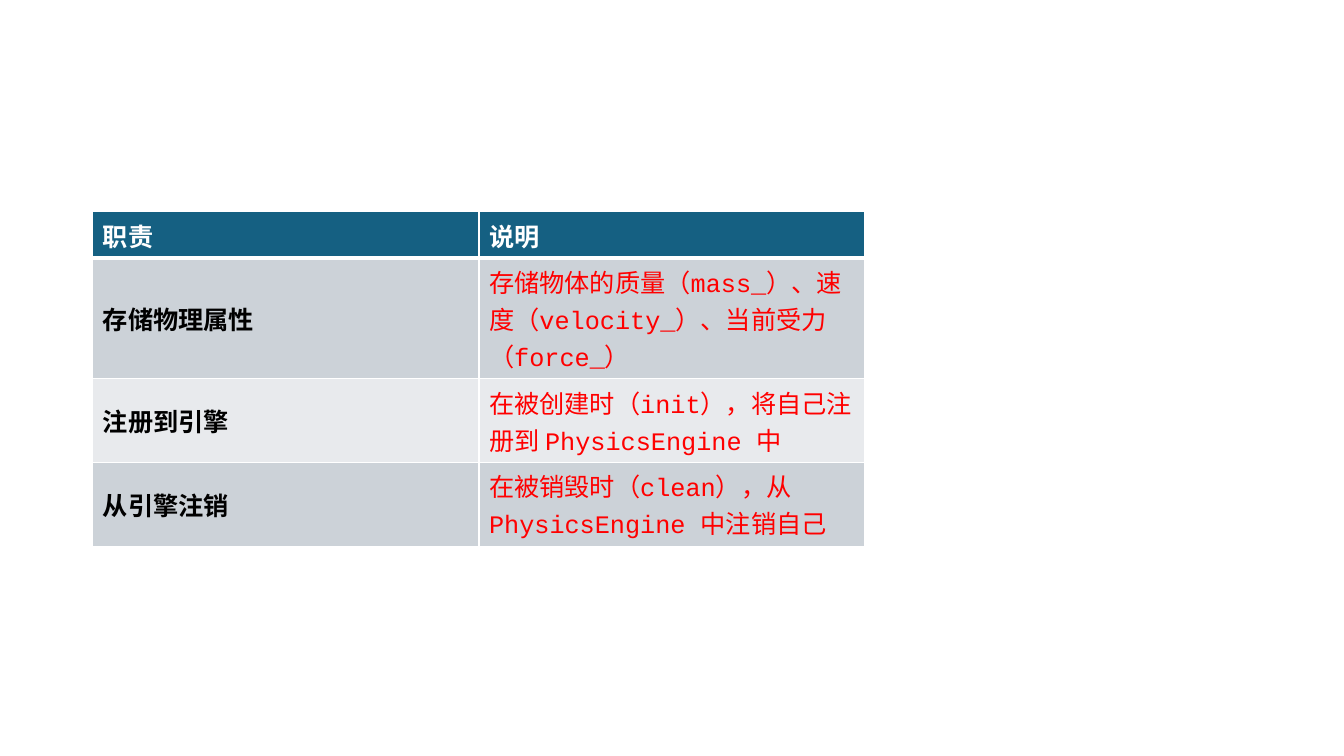
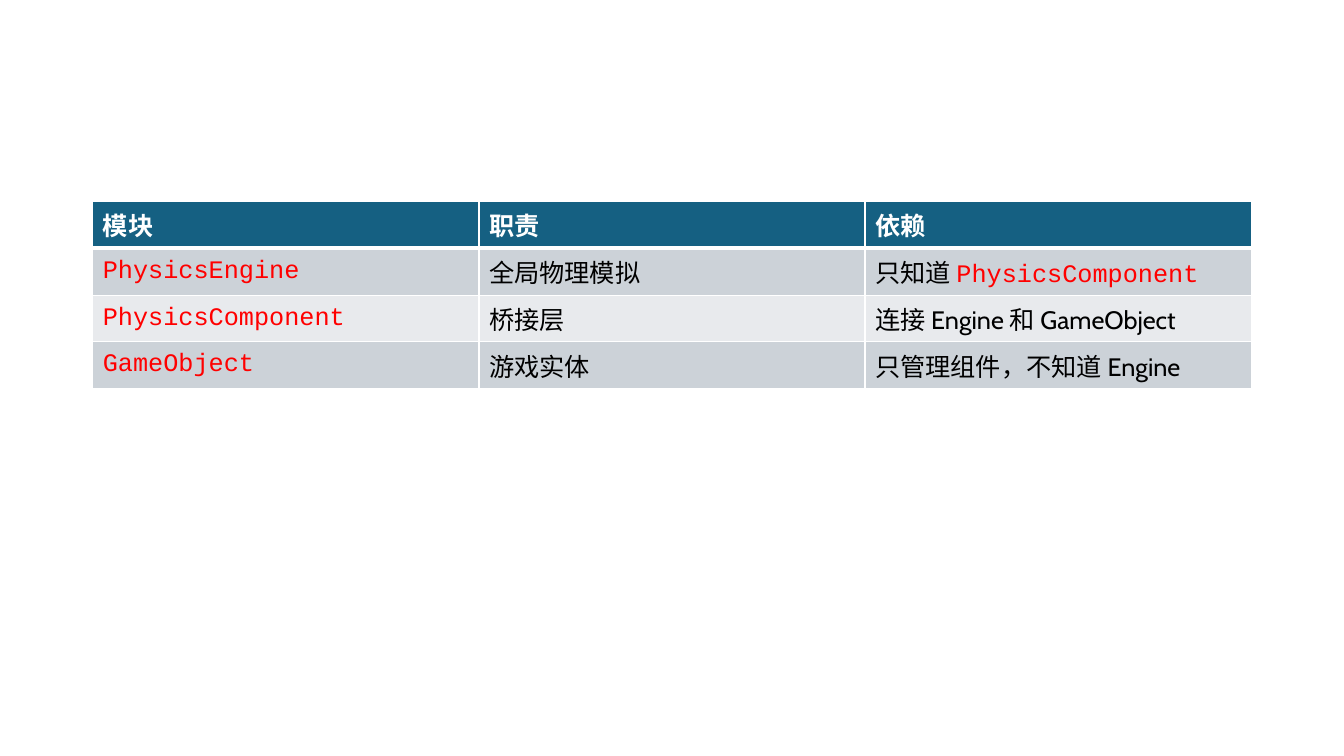
"""Build two slides with tables on the duties and dependencies of physics modules."""
import pptx
import pptx.dml.color
import pptx.enum.lang
import pptx.enum.text
import pptx.oxml.ns
import pptx.util
from lxml import etree

SLIDE_WIDTH, SLIDE_HEIGHT = 13.33, 7.5
LEFT, COLUMN_WIDTH, ROW_HEIGHT = 0.92, 3.83, 0.41
WHITE, BLACK, RED = "FFFFFF", "000000", "FF0000"
HEADER_FILL, BAND_FILLS = "156082", ("CCD2D8", "E8EAED")
THIN, THICK = 1, 3
TEXT_FONT, CODE_FONT = "Cabin", "Courier New"

HEADER_STYLE = {"color": WHITE, "bold": True}
LABEL_STYLE = {"color": BLACK, "bold": True}
PLAIN_STYLE = {"color": BLACK, "bold": False}
RED_STYLE = {"color": RED, "bold": False}

# Backticks enclose code.
TABLES = [
    {
        "top": 2.1,
        "styles": [LABEL_STYLE, RED_STYLE],
        "rows": [
            ("职责", "说明"),
            ("存储物理属性", "存储物体的质量（`mass_`）、速度（`velocity_`）、当前受力（`force_`）"),
            ("注册到引擎", "在被创建时（`init`），将自己注册到 `PhysicsEngine `中"),
            ("从引擎注销", "在被销毁时（`clean`），从 `PhysicsEngine `中注销自己"),
        ],
    },
    {
        "top": 2,
        "styles": [PLAIN_STYLE] * 3,
        "rows": [
            ("模块", "职责", "依赖"),
            ("`PhysicsEngine`", "全局物理模拟", "只知道 `PhysicsComponent`"),
            ("`PhysicsComponent`", "桥接层", "连接 Engine 和 GameObject"),
            ("`GameObject`", "游戏实体", "只管理组件，不知道 Engine"),
        ],
    },
]


def rgb(value):
    """Return the colour for a hex string."""
    return pptx.dml.color.RGBColor.from_string(value)


def set_borders(cell, widths):
    """Draw white cell borders of the given widths in points."""
    properties = cell._tc.get_or_add_tcPr()
    for side, width in widths.items():
        line = etree.SubElement(properties, pptx.oxml.ns.qn(f"a:ln{side}"), w=str(pptx.util.Pt(width)))
        fill = etree.SubElement(line, pptx.oxml.ns.qn("a:solidFill"))
        etree.SubElement(fill, pptx.oxml.ns.qn("a:srgbClr"), val=WHITE)


def write_text(cell, text, style):
    """Write text into a cell, with the parts in backticks as red code."""
    paragraph = cell.text_frame.paragraphs[0]
    for index, part in enumerate(text.split("`")):
        if not part:
            continue
        is_code = index % 2 == 1
        run = paragraph.add_run()
        run.text = part
        font_format = {
            "name": CODE_FONT if is_code else TEXT_FONT,
            "size": pptx.util.Pt(18),
            "bold": style["bold"],
            "language_id": pptx.enum.lang.MSO_LANGUAGE_ID.SIMPLIFIED_CHINESE,
        }
        for name, value in font_format.items():
            setattr(run.font, name, value)
        run.font.color.rgb = rgb(RED if is_code else style["color"])


def add_table(slide, top, styles, rows):
    """Add a table with a dark header and banded rows."""
    size = (COLUMN_WIDTH * len(styles), ROW_HEIGHT * len(rows))
    box = [pptx.util.Inches(length) for length in (LEFT, top, *size)]
    table = slide.shapes.add_table(len(rows), len(styles), *box).table
    table.horz_banding = False
    for row_index, texts in enumerate(rows):
        is_header = row_index == 0
        fill = HEADER_FILL if is_header else BAND_FILLS[(row_index - 1) % 2]
        widths = {
            "L": THIN,
            "R": THIN,
            "T": THICK if row_index == 1 else THIN,
            "B": THICK if is_header else THIN,
        }
        for column_index, text in enumerate(texts):
            cell = table.cell(row_index, column_index)
            cell.vertical_anchor = pptx.enum.text.MSO_ANCHOR.MIDDLE
            set_borders(cell, widths)
            cell.fill.solid()
            cell.fill.fore_color.rgb = rgb(fill)
            write_text(cell, text, HEADER_STYLE if is_header else styles[column_index])


def main():
    """Build and save the presentation."""
    presentation = pptx.Presentation()
    presentation.slide_width = pptx.util.Inches(SLIDE_WIDTH)
    presentation.slide_height = pptx.util.Inches(SLIDE_HEIGHT)
    for table in TABLES:
        slide = presentation.slides.add_slide(presentation.slide_layouts[6])
        add_table(slide, **table)
    presentation.save("out.pptx")


if __name__ == "__main__":
    main()
